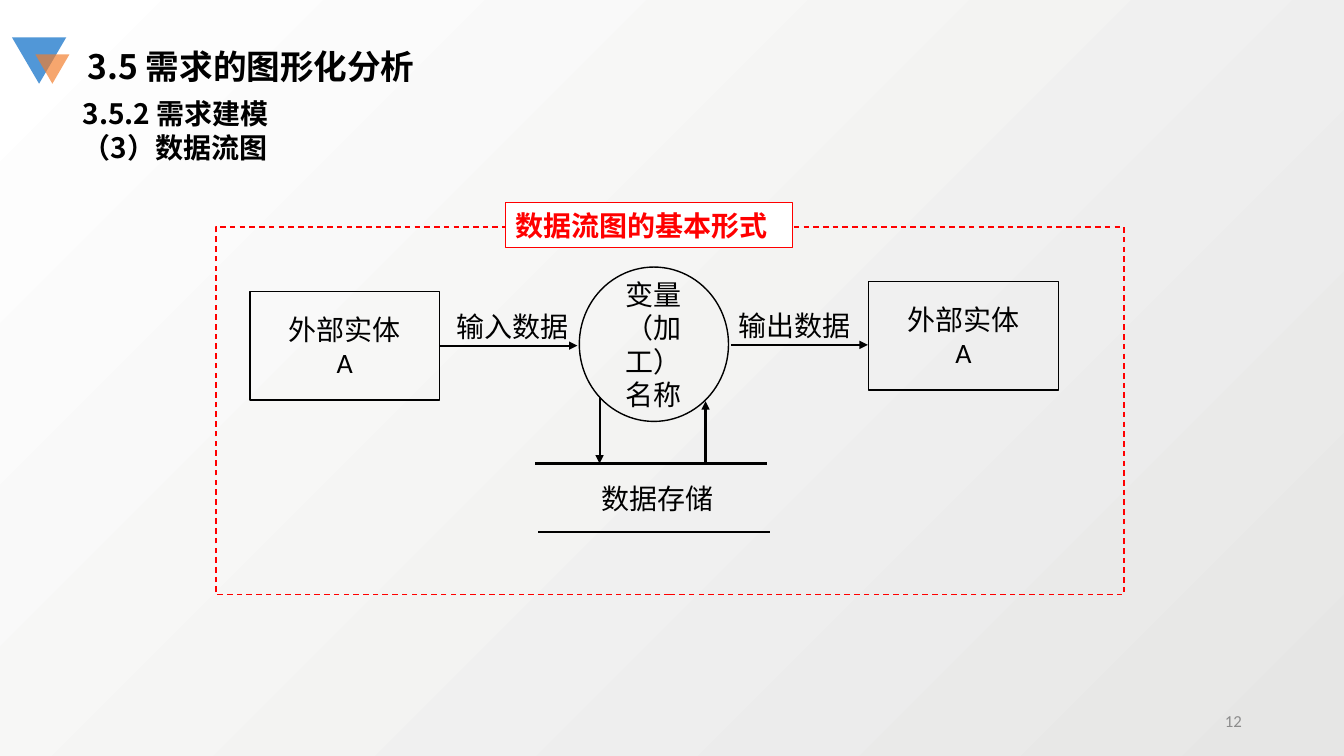
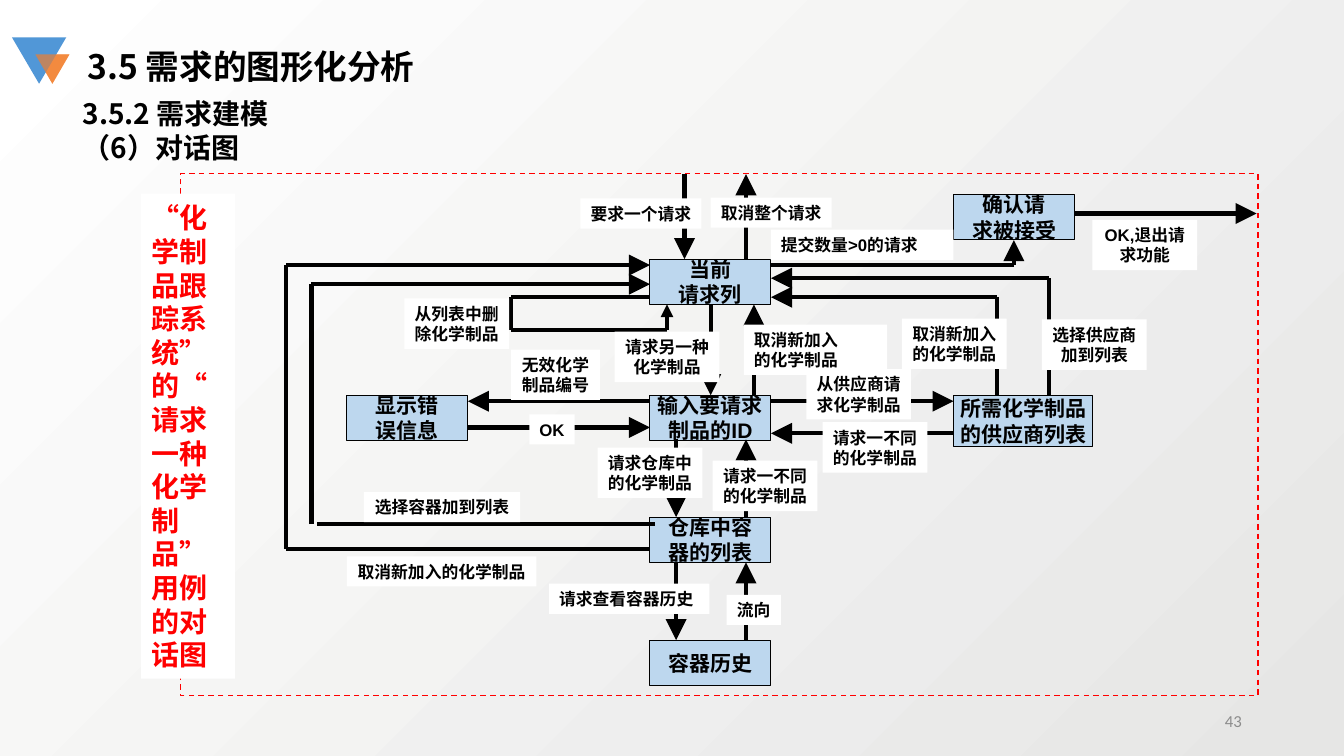
from lxml import etree
from pptx import Presentation
from pptx.dml.color import RGBColor
from pptx.enum import dml, shapes, text
from pptx.oxml import ns
from pptx.util import Cm, Pt

BLACK, WHITE, RED = "000000", "FFFFFF", "FF0000"
BLUE, ORANGE, PALE_BLUE, GREY = "5197D7", "F37D2A", "BDD7EE", "8C8C8C"
HEADING, BODY, DIALOG = "Noto Sans CJK SC", "Calibri", "Arial"
RECT = shapes.MSO_SHAPE.RECTANGLE
LEFT, CENTER, RIGHT = text.PP_ALIGN.LEFT, text.PP_ALIGN.CENTER, text.PP_ALIGN.RIGHT
rgb = RGBColor.from_string


def add_box(page, at, words="", kind=None, fill=None, line=None, width=1, font=BODY,
            size=20, color=BLACK, bold=False, align=LEFT, wrap=True):
    """Add a preset shape, or a text box when no kind is given; at is in cm."""
    place = [Cm(value) for value in at]
    box = page.shapes.add_shape(kind, *place) if kind else page.shapes.add_textbox(*place)
    box.shadow.inherit = False
    if fill:
        box.fill.solid()
        box.fill.fore_color.rgb = rgb(fill)
    else:
        box.fill.background()
    if line:
        box.line.color.rgb = rgb(line)
        box.line.width = Pt(width)
    else:
        box.line.fill.background()
    frame = box.text_frame
    frame.word_wrap = wrap
    frame.vertical_anchor = text.MSO_ANCHOR.MIDDLE
    for index, words_line in enumerate(words.split("\n") if words else []):
        para = frame.add_paragraph() if index else frame.paragraphs[0]
        para.text = words_line
        para.alignment = align
        para.font.name, para.font.size, para.font.bold = font, Pt(size), bold
        para.font.color.rgb = rgb(color)
    return box


def add_route(page, points, width, head=None):
    """Join points (cm) with straight lines; head is the arrowhead size at the end."""
    for start, end in zip(points, points[1:]):
        line = page.shapes.add_connector(
            shapes.MSO_CONNECTOR.STRAIGHT, *[Cm(value) for value in start + end])
        line.line.color.rgb = rgb(BLACK)
        line.line.width = Pt(width)
        properties = line._element.spPr
        if head and end == points[-1]:
            etree.SubElement(properties.get_or_add_ln(), ns.qn("a:tailEnd"),
                             type="triangle", w=head, len=head)
        etree.SubElement(properties, ns.qn("a:effectLst"))


deck = Presentation()
deck.slide_width, deck.slide_height = Cm(33.87), Cm(19.05)

backdrop = deck.slide_master.background.fill
backdrop.gradient()
backdrop.gradient_angle = 135
for stop, color in zip(backdrop.gradient_stops, ("E6E6E5", WHITE)):
    stop.color.rgb = rgb(color)

# Parts shared by both slides
blue_mark = ((0.3, 0.94, 1.37, 1.17), BLUE, 100)
orange_mark = ((0.89, 1.37, 0.86, 0.74), ORANGE, 68)
pages = []
for topic, number, marks in (
    ("（3）数据流图", "12", (blue_mark, orange_mark)),
    ("（6）对话图", "43", (orange_mark, blue_mark, orange_mark)),
):
    page = deck.slides.add_slide(deck.slide_layouts[6])
    for at, color, opacity in marks:
        mark = add_box(page, at, kind=shapes.MSO_SHAPE.ISOSCELES_TRIANGLE, fill=color)
        mark.rotation = 180
        tint = mark._element.spPr.find(".//" + ns.qn("a:srgbClr"))
        etree.SubElement(tint, ns.qn("a:alpha"), val=str(opacity * 1000))
    add_box(page, (1.96, 1.02, 11.23, 1.27), "3.5 需求的图形化分析",
            font=HEADING, size=24, bold=True)
    add_box(page, (1.83, 2.31, 21.56, 1.96), "3.5.2 需求建模\n" + topic,
            font=HEADING, bold=True)
    add_box(page, (23.93, 17.65, 7.62, 1.02), number, size=12, color=GREY, align=RIGHT)
    pages.append(page)
flow_page, dialog_page = pages

# Data flow diagram
for x, y in ((6.3, 7.34), (21.89, 7.09)):
    add_box(flow_page, (x, y, 4.78, 2.74), "外部实体\nA", RECT, line=BLACK, align=CENTER)
add_box(flow_page, (14.6, 6.73, 3.76, 3.89), "变量（加工）\n名称",
        shapes.MSO_SHAPE.OVAL, line=BLACK, align=CENTER)

for points, head in (
    ([(11.1, 8.71), (14.55, 8.71)], "med"),
    ([(18.42, 8.69), (21.87, 8.69)], "med"),
    ([(15.11, 10.01), (15.11, 11.68)], "med"),
    ([(17.78, 11.68), (17.78, 10.11)], "med"),
    ([(13.49, 11.68), (19.33, 11.68)], None),
    ([(13.56, 13.41), (19.41, 13.41)], None),
):
    add_route(flow_page, points, 1.5, head)

for x, y, words in ((11.25, 7.65, "输入数据"), (18.36, 7.62, "输出数据"),
                    (14.91, 11.99, "数据存储")):
    add_box(flow_page, (x, y, 3.9, 1.14), words)

flow_frame = add_box(flow_page, (5.44, 5.72, 22.89, 9.27), kind=RECT, line=RED)
flow_frame.line.dash_style = dml.MSO_LINE.DASH
add_box(flow_page, (12.73, 5.11, 7.24, 1.12), "数据流图的基本形式", RECT, fill=WHITE,
        line=RED, width=0.75, font=HEADING, color=RED, bold=True)

# Dialog map: states, transitions, then the labels that cover the lines
for x, y, w, h, words in (
    (16.38, 6.53, 3.05, 1.14, "当前\n请求列"),
    (16.38, 9.96, 3.05, 1.14, "输入要请求\n制品的ID"),
    (16.38, 13.03, 3.05, 1.14, "仓库中容\n器的列表"),
    (16.38, 16.13, 3.05, 1.14, "容器历史"),
    (8.74, 9.96, 3.05, 1.14, "显示错\n误信息"),
    (24.03, 9.96, 3.51, 1.3, "所需化学制品\n的供应商列表"),
    (24.03, 4.9, 3.05, 1.14, "确认请\n求被接受"),
):
    add_box(dialog_page, (x, y, w, h), words, RECT, fill=PALE_BLUE, line=BLACK, width=0.75,
            font=DIALOG, size=15, bold=True, align=CENTER, wrap=False)

for points in (
    [(17.25, 4.39), (17.25, 6.53)],
    [(17.91, 7.67), (17.91, 9.96)],
    [(17.04, 11.07), (17.04, 13.03)],
    [(17.04, 14.17), (17.04, 16.13)],
    [(18.8, 13.03), (18.8, 11.07)],
    [(18.8, 16.13), (18.8, 14.17)],
    [(19, 9.96), (19, 7.67)],
    [(18.8, 6.53), (18.8, 4.39)],
    [(16.38, 10.11), (11.79, 10.11)],
    [(11.79, 10.77), (16.38, 10.77)],
    [(19.43, 10.11), (24.03, 10.11)],
    [(24.03, 10.92), (19.43, 10.92)],
    [(7.85, 13.21), (7.85, 7.16), (16.38, 7.16)],
    [(16.38, 13.84), (7.21, 13.84), (7.21, 6.68), (16.38, 6.68)],
    [(27.1, 5.38), (31.67, 5.38)],
    [(19.43, 6.68), (25.55, 6.68), (25.55, 6.05)],
    [(26.44, 9.96), (26.44, 7.01), (19.43, 7.01)],
    [(25.12, 9.96), (25.12, 7.49), (19.43, 7.49)],
):
    add_route(dialog_page, points, 3, "lg")
add_route(dialog_page, [(16.51, 13.21), (7.98, 13.21)], 3)
add_route(dialog_page, [(16.38, 7.49), (12.88, 7.49), (12.88, 8.31), (16.81, 8.31),
                        (16.81, 7.67)], 3, "med")

left_labels = (
    (18.75, 8.18, 3.61, "取消新加入\n的化学制品"),
    (13.84, 14.71, 4.04, "请求查看容器历史"),
    (19.43, 5.79, 4.6, "提交数量>0的请求"),
)
centered_labels = (
    (17.91, 4.98, 3.05, "取消整个请求"),
    (14.63, 5, 3.05, "要求一个请求"),
    (18.31, 14.99, 1.37, "流向"),
    (15.06, 11.28, 2.64, "请求仓库中\n的化学制品"),
    (17.96, 11.61, 2.64, "请求一不同\n的化学制品"),
    (12.88, 8.81, 2.24, "无效化学\n制品编号"),
    (15.49, 8.36, 2.64, "请求另一种\n化学制品"),
    (13.34, 10.44, 1.14, "OK"),
    (20.32, 9.3, 2.64, "从供应商请\n求化学制品"),
    (20.73, 10.64, 2.64, "请求一不同\n的化学制品"),
    (9.17, 12.4, 3.94, "选择容器加到列表"),
    (8.74, 14.02, 4.78, "取消新加入的化学制品"),
    (10.19, 7.52, 2.64, "从列表中删\n除化学制品"),
    (27.53, 5.54, 2.64, "OK,退出请\n求功能"),
    (22.73, 8.03, 2.64, "取消新加入\n的化学制品"),
    (26.26, 8.05, 2.64, "选择供应商\n加到列表"),
)
for align, labels in ((LEFT, left_labels), (CENTER, centered_labels)):
    for x, y, w, words in labels:
        height = 0.25 + 0.51 * len(words.split("\n"))
        add_box(dialog_page, (x, y, w, height), words, RECT, fill=WHITE, font=DIALOG,
                size=12, bold=True, align=align, wrap=align == LEFT)

dialog_frame = add_box(dialog_page, (4.55, 4.37, 27.15, 13.16), kind=RECT, line=RED)
dialog_frame.line.dash_style = dml.MSO_LINE.DASH
add_box(dialog_page, (3.56, 4.88, 2.36, 12.22),
        "“化学制品跟踪系统”的“请求一种化学制品” 用例的对话图", RECT, fill=WHITE,
        font=DIALOG, color=RED, bold=True)

deck.save("out.pptx")
